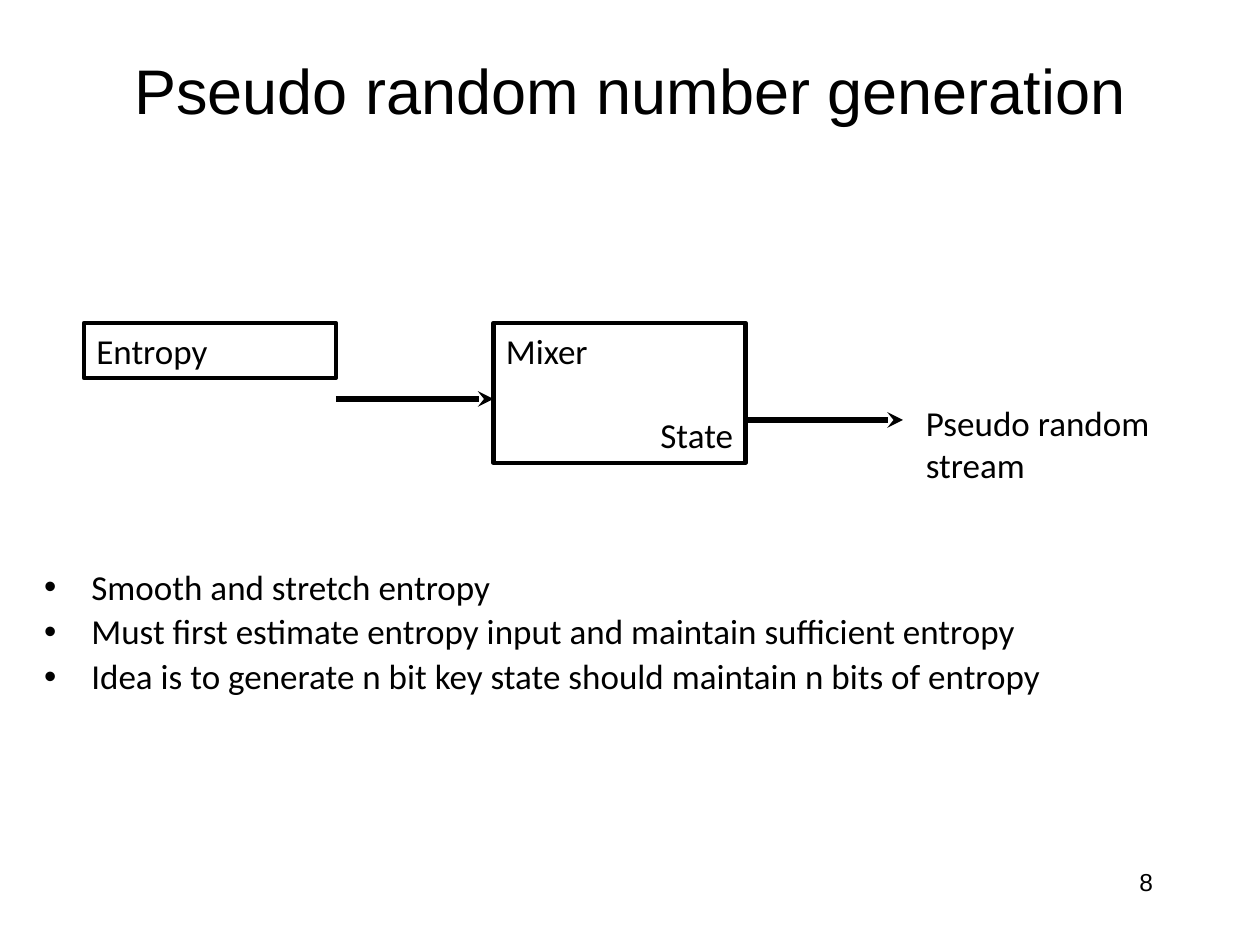
from dataclasses import dataclass

from lxml.etree import SubElement
from pptx import Presentation
from pptx.dml.color import RGBColor
from pptx.enum.shapes import MSO_CONNECTOR, MSO_SHAPE
from pptx.enum.text import MSO_ANCHOR, MSO_AUTO_SIZE, PP_ALIGN
from pptx.oxml.ns import qn
from pptx.util import Pt


@dataclass(frozen=True)
class Theme:
    ink: RGBColor = RGBColor(0, 0, 0)
    heading_font: str = "Arial"
    text_font: str = "Calibri"
    title_size: int = 36
    text_size: int = 20
    number_size: int = 14
    box_line: float = 2.5
    arrow_line: int = 3


class SlideBuilder:
    """Draws styled elements on one slide, with all lengths in points."""

    def __init__(self, page, theme):
        self.page = page
        self.theme = theme

    def place(self, shape, area):
        shape.left, shape.top, shape.width, shape.height = map(Pt, area)

    def add_span(self, para, text, size, font, align=PP_ALIGN.LEFT, before=0):
        para.alignment = align
        para.space_before = Pt(before)
        span = para.add_run()
        span.text = text
        span.font.size = Pt(size)
        span.font.name = font
        span.font.color.rgb = self.theme.ink

    def fill_lines(self, frame, lines):
        for index, (text, align, before) in enumerate(lines):
            para = frame.add_paragraph() if index else frame.paragraphs[0]
            self.add_span(para, text, self.theme.text_size, self.theme.text_font,
                          align, before)

    def title(self, text, area):
        title = self.page.shapes.title
        self.place(title, area)
        title.text_frame.vertical_anchor = MSO_ANCHOR.MIDDLE
        self.add_span(title.text_frame.paragraphs[0], text, self.theme.title_size,
                      self.theme.heading_font, PP_ALIGN.CENTER)

    def bullets(self, items, area):
        body = self.page.placeholders[1]
        self.place(body, area)
        frame = body.text_frame
        frame.auto_size = MSO_AUTO_SIZE.NONE
        self.fill_lines(frame, [(item, PP_ALIGN.LEFT, 4) for item in items])
        for para in frame.paragraphs:
            para.line_spacing = 0.9

    def box(self, lines, area):
        box = self.page.shapes.add_shape(MSO_SHAPE.RECTANGLE, *map(Pt, area))
        box.shadow.inherit = False
        box.fill.background()
        box.line.color.rgb = self.theme.ink
        box.line.width = Pt(self.theme.box_line)
        box.text_frame.vertical_anchor = MSO_ANCHOR.TOP
        self.fill_lines(box.text_frame, lines)

    def label(self, lines, area):
        label = self.page.shapes.add_textbox(*map(Pt, area))
        label.text_frame.word_wrap = False
        self.fill_lines(label.text_frame, lines)

    def number(self, text, area):
        number = self.page.shapes.add_textbox(*map(Pt, area))
        number.text_frame.word_wrap = True
        self.add_span(number.text_frame.paragraphs[0], text, self.theme.number_size,
                      self.theme.heading_font, PP_ALIGN.RIGHT, 7)

    def arrow(self, left, top, length):
        arrow = self.page.shapes.add_connector(
            MSO_CONNECTOR.STRAIGHT, Pt(left), Pt(top), Pt(left + length), Pt(top))
        arrow.line.color.rgb = self.theme.ink
        arrow.line.width = Pt(self.theme.arrow_line)
        properties = arrow._element.spPr
        SubElement(properties.find(qn("a:ln")), qn("a:tailEnd"), type="stealth")
        SubElement(properties, qn("a:effectLst"))


def main():
    deck = Presentation()
    deck.slide_width, deck.slide_height = Pt(720), Pt(540)
    page = deck.slides.add_slide(deck.slide_layouts[1])
    builder = SlideBuilder(page, Theme())

    builder.title("Pseudo random number generation", (54, 18, 612, 66))
    builder.bullets([
        "Smooth and stretch entropy",
        "Must first estimate entropy input and maintain sufficient entropy",
        "Idea is to generate n bit key state should maintain n bits of entropy",
    ], (18, 322, 684, 84))
    builder.number("8", (516, 492, 150, 36))

    left, top, width, gap = 48, 184.5, 144, 90
    entropy_right = left + width
    mixer_left = entropy_right + gap
    mixer_right = mixer_left + width
    builder.box([("Entropy", PP_ALIGN.LEFT, 0)], (left, top, width, 31.5))
    builder.box([("Mixer", PP_ALIGN.LEFT, 0), ("State", PP_ALIGN.RIGHT, 24)],
                (mixer_left, top, width, 80))
    builder.label([("Pseudo random", PP_ALIGN.LEFT, 0),
                   ("stream", PP_ALIGN.LEFT, 0)], (522, 226, 148, 55.5))
    builder.arrow(entropy_right, 228, gap)
    builder.arrow(mixer_right, 240, gap)

    deck.save("out.pptx")


if __name__ == "__main__":
    main()
